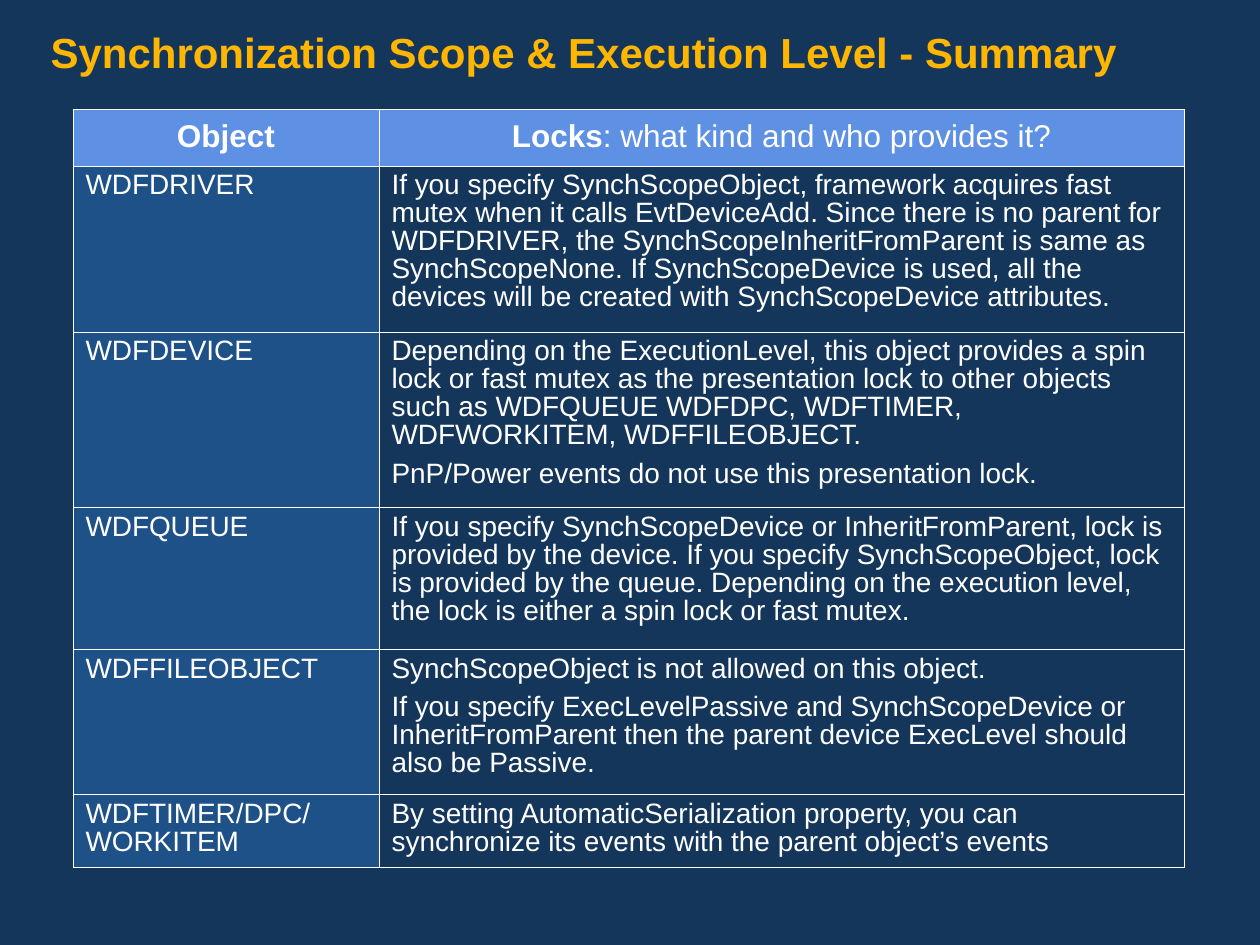
import lxml.etree
import pptx
import pptx.dml.color
import pptx.enum.text
import pptx.oxml.ns
import pptx.util

Cm, Pt = pptx.util.Cm, pptx.util.Pt
ALIGN = pptx.enum.text.PP_ALIGN
ANCHOR = pptx.enum.text.MSO_ANCHOR
qn = pptx.oxml.ns.qn

COLORS = {
    "back": "15365B",
    "title": "FFB601",
    "head": "5E91E4",
    "object": "1F5189",
    "text": "FFFFFF",
    "border": "FFFFFF",
}

COLS = [6.17, 16.23]
ROWS = [1.14, 3.35, 3.53, 2.87, 2.92, 1.47]

HEAD = [[("Object", True)],
        [("Locks", True), (": what kind and who provides it?", False)]]

LOCKS = [
    ("WDFDRIVER",
     ["If you specify SynchScopeObject, framework acquires fast mutex when it "
      "calls EvtDeviceAdd. Since there is no parent for WDFDRIVER, the "
      "SynchScopeInheritFromParent is same as SynchScopeNone. If "
      "SynchScopeDevice is used, all the devices will be created with "
      "SynchScopeDevice attributes."]),
    ("WDFDEVICE",
     ["Depending on the ExecutionLevel, this object provides a spin lock or "
      "fast mutex as the presentation lock to other objects such as WDFQUEUE "
      "WDFDPC, WDFTIMER, WDFWORKITEM, WDFFILEOBJECT.",
      "PnP/Power events do not use this presentation lock."]),
    ("WDFQUEUE",
     ["If you specify SynchScopeDevice or InheritFromParent, lock is provided "
      "by the device. If you specify SynchScopeObject, lock is provided by "
      "the queue. Depending on the execution level, the lock is either a spin "
      "lock or fast mutex."]),
    ("WDFFILEOBJECT",
     ["SynchScopeObject is not allowed on this object.",
      "If you specify ExecLevelPassive and SynchScopeDevice or "
      "InheritFromParent then the parent device ExecLevel should also be "
      "Passive."]),
    ("WDFTIMER/DPC/ WORKITEM",
     ["By setting AutomaticSerialization property, you can synchronize its "
      "events with the parent object’s events"]),
]


class Deck:
    """Holds the text style and the slide being drawn."""

    font = "Arial"
    space = 0.9

    def __init__(self):
        self.show = pptx.Presentation()
        self.show.slide_width = Cm(25.4)
        self.show.slide_height = Cm(19.05)
        self.slide = self.show.slides.add_slide(self.show.slide_layouts[6])
        self.paint(self.slide.background.fill, "back")

    def paint(self, fill, name):
        fill.solid()
        fill.fore_color.rgb = pptx.dml.color.RGBColor.from_string(COLORS[name])

    def style(self, para, size, color="text", bold=False):
        para.line_spacing = self.space
        for run in para.runs:
            run.font.name = self.font
            run.font.size = Pt(size)
            run.font.bold = bold
            self.paint(run.font.fill, color)

    def title(self, text):
        box = self.slide.shapes.add_textbox(0, 0, self.show.slide_width, Cm(1.9))
        frame = box.text_frame
        frame.word_wrap = True
        frame.margin_left = frame.margin_right = Cm(1.02)
        frame.margin_top, frame.margin_bottom = Cm(0.64), Cm(0.13)
        frame.text = text
        self.style(frame.paragraphs[0], 24, "title", True)

    def table(self, left, top, cols, rows):
        frame = self.slide.shapes.add_table(
            len(rows), len(cols), Cm(left), Cm(top), Cm(sum(cols)), Cm(sum(rows)))
        grid = frame.table
        grid.first_row = grid.horz_banding = False
        for col, width in zip(grid.columns, cols):
            col.width = Cm(width)
        for row, height in zip(grid.rows, rows):
            row.height = Cm(height)
        return grid

    def border(self, cell):
        props = cell._tc.get_or_add_tcPr()
        for side in ("lnL", "lnR", "lnT", "lnB"):
            line = lxml.etree.SubElement(props, qn("a:" + side), w=str(Pt(0.45)))
            fill = lxml.etree.SubElement(line, qn("a:solidFill"))
            lxml.etree.SubElement(fill, qn("a:srgbClr"), val=COLORS["border"])

    def head(self, cell, parts):
        """Fill a header cell from (text, bold) parts."""
        self.border(cell)
        self.paint(cell.fill, "head")
        cell.vertical_anchor = ANCHOR.MIDDLE
        para = cell.text_frame.paragraphs[0]
        para.alignment = ALIGN.CENTER
        for text, _ in parts:
            para.add_run().text = text
        self.style(para, 18)
        for run, (_, bold) in zip(para.runs, parts):
            run.font.bold = bold

    def body(self, cell, lines, fill=None):
        self.border(cell)
        if fill:
            self.paint(cell.fill, fill)
        else:
            cell.fill.background()
        cell.text_frame.text = "\n".join(lines)
        for i, para in enumerate(cell.text_frame.paragraphs):
            self.style(para, 16)
            if i:
                para.space_before = Pt(6)


def main():
    deck = Deck()
    deck.title("Synchronization Scope & Execution Level - Summary")
    grid = deck.table(1.47, 2.21, COLS, ROWS)
    for col, parts in enumerate(HEAD):
        deck.head(grid.cell(0, col), parts)
    for row, (name, lines) in enumerate(LOCKS, 1):
        deck.body(grid.cell(row, 0), [name], "object")
        deck.body(grid.cell(row, 1), lines)
    deck.show.save("out.pptx")


if __name__ == "__main__":
    main()
